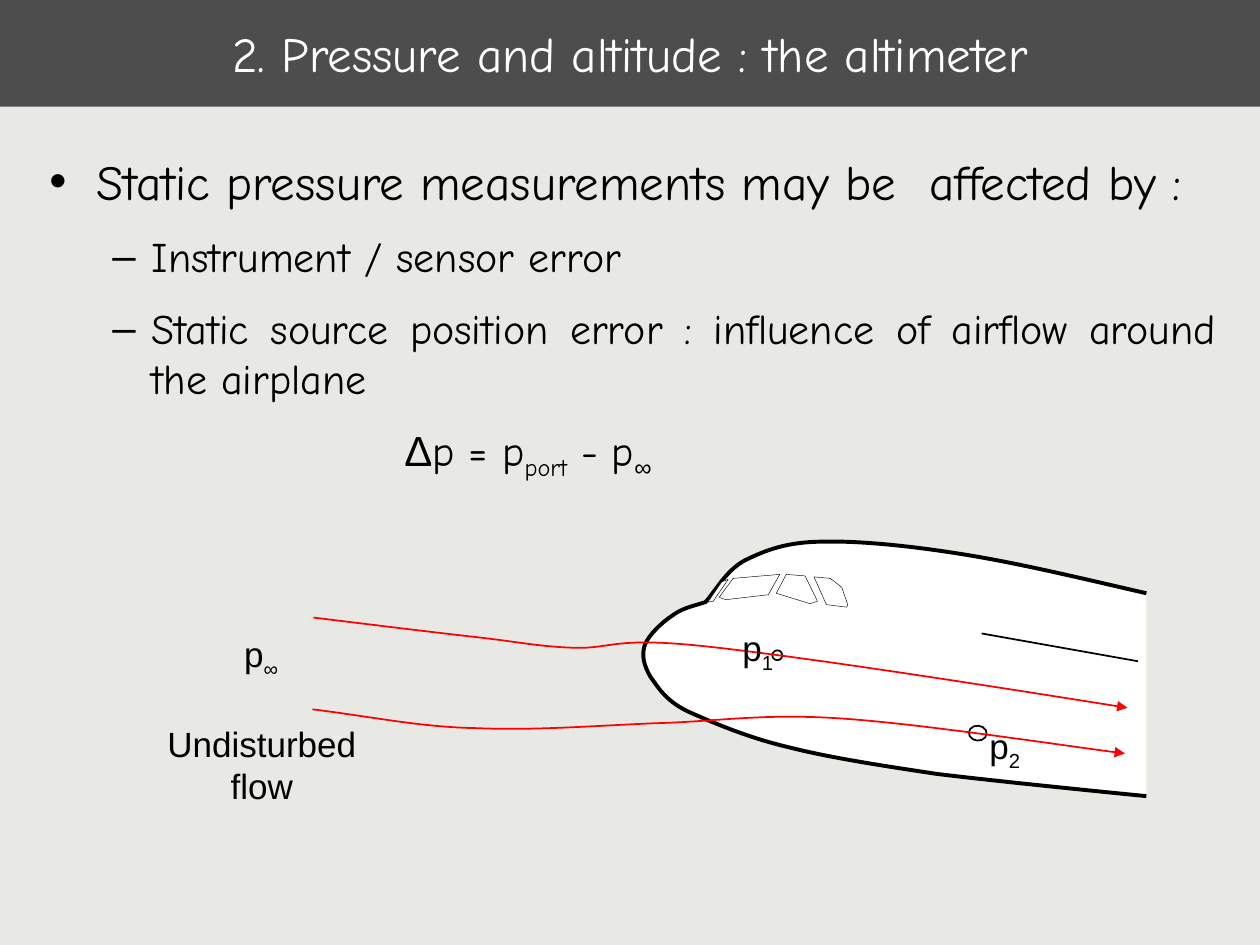
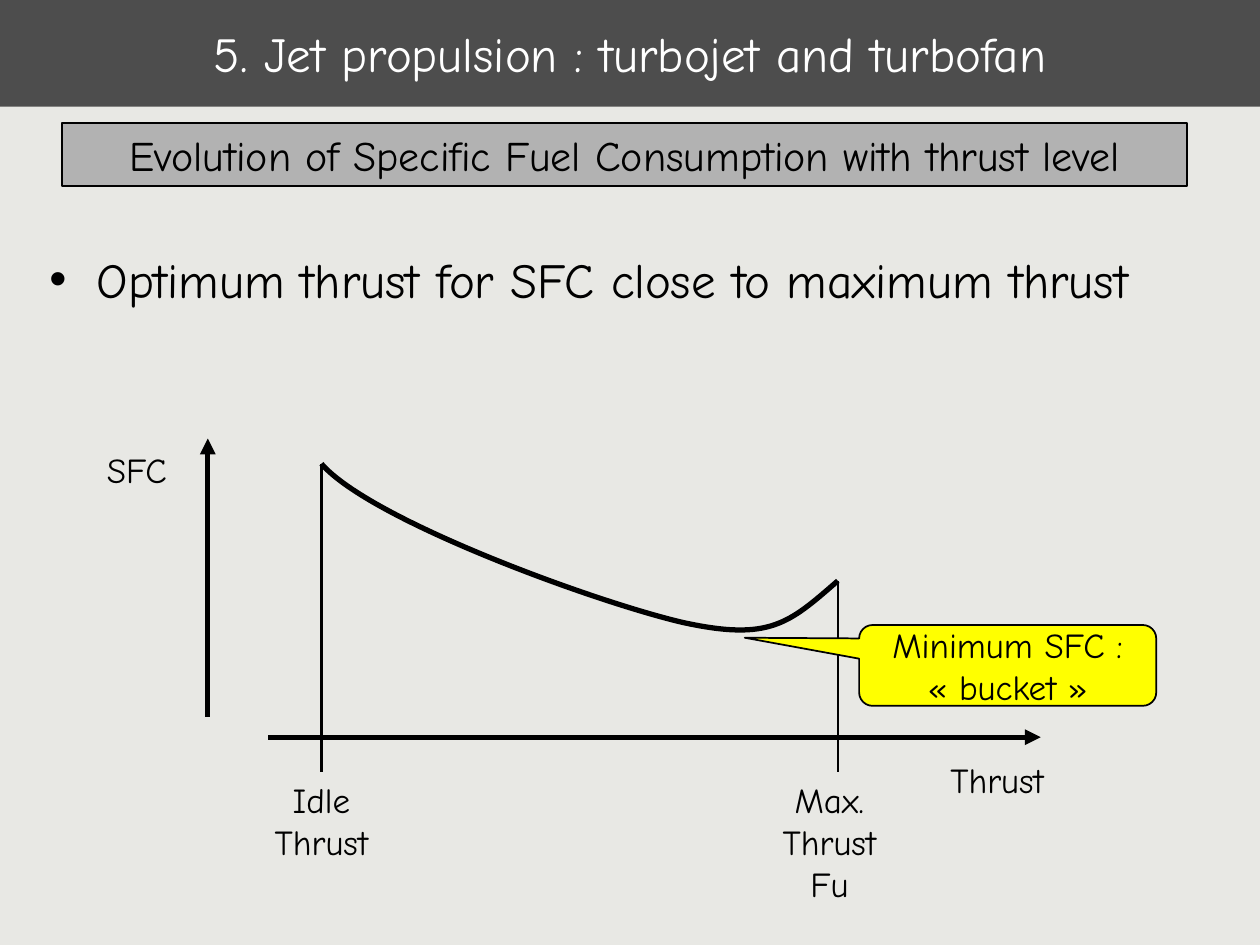
from dataclasses import dataclass

from pptx import Presentation
from pptx.dml.color import RGBColor
from pptx.enum.shapes import MSO_CONNECTOR, MSO_SHAPE
from pptx.enum.text import MSO_ANCHOR, PP_ALIGN
from pptx.oxml.ns import qn
from pptx.util import Cm, Pt
from lxml import etree

RECT, OVAL = MSO_SHAPE.RECTANGLE, MSO_SHAPE.OVAL
CALLOUT = MSO_SHAPE.ROUNDED_RECTANGULAR_CALLOUT
STRAIGHT = MSO_CONNECTOR.STRAIGHT
CENTER, JUSTIFY = PP_ALIGN.CENTER, PP_ALIGN.JUSTIFY
TOP, MIDDLE = MSO_ANCHOR.TOP, MSO_ANCHOR.MIDDLE
NBSP = chr(160)  # keeps the guillemets with their word


@dataclass(frozen=True)
class Theme:
    background: str = "E8E8E4"
    band: str = "4D4D4D"
    banner: str = "B2B2B2"
    highlight: str = "FFFF00"
    flow: str = "FF0000"
    ink: str = "000000"
    white: str = "FFFFFF"
    font: str = "Comic Neue"
    label_font: str = "Arial"
    title_size: int = 28
    text_size: int = 24
    label_size: int = 20


T = Theme()
WIDTH, HEIGHT = 25.4, 19.05
TITLE_HEIGHT = 2.15
BODY_LEFT, BODY_WIDTH, BODY_BOTTOM = 0.74, 24.03, 17.98
EQUATION_INDENT = 7.16


def rgb(color):
    return RGBColor.from_string(color)


# Text
def write(p, runs, size=T.label_size, font=T.font, color=T.ink, align=CENTER, before=0):
    """Fill a paragraph; a run is a string or (string, font, is_subscript)."""
    p.alignment, p.space_before = align, Pt(before)
    for run in [runs] if isinstance(runs, str) else runs:
        text, face, sub = (run, font, False) if isinstance(run, str) else run
        r = p.add_run()
        r.text = text
        r.font.size, r.font.name = Pt(size), face
        r.font.color.rgb = rgb(color)
        if sub:
            r._r.get_or_add_rPr().set("baseline", "-25000")


def write_lines(tf, lines, **fmt):
    for i, line in enumerate(lines):
        write(tf.paragraphs[0] if i == 0 else tf.add_paragraph(), line, **fmt)


def add_label(s, x, y, w, h, *lines, anchor=MIDDLE, **fmt):
    sp = s.shapes.add_textbox(Cm(x), Cm(y), Cm(w), Cm(h))
    tf = sp.text_frame
    tf.word_wrap, tf.vertical_anchor = False, anchor
    write_lines(tf, lines, **fmt)
    return sp


# Shapes and lines
def set_line(sp, color, width, arrow=False):
    sp.line.color.rgb, sp.line.width = rgb(color), Pt(width)
    if arrow:
        ln = sp._element.spPr.find(qn("a:ln"))
        etree.SubElement(ln, qn("a:tailEnd"), type="triangle")


def style_shape(sp, fill, width, color=T.ink, arrow=False):
    sp.shadow.inherit = False
    if fill:
        sp.fill.solid()
        sp.fill.fore_color.rgb = rgb(fill)
    else:
        sp.fill.background()
    set_line(sp, color, width, arrow)


def add_box(s, kind, x, y, w, h, fill, text=None, size=T.label_size):
    sp = s.shapes.add_shape(kind, Cm(x), Cm(y), Cm(w), Cm(h))
    style_shape(sp, fill, 1)
    if text:
        sp.text_frame.word_wrap, sp.text_frame.vertical_anchor = True, MIDDLE
        write(sp.text_frame.paragraphs[0], text, size=size)
    return sp


def add_line(s, x1, y1, x2, y2, width, arrow=False):
    sp = s.shapes.add_connector(STRAIGHT, Cm(x1), Cm(y1), Cm(x2), Cm(y2))
    set_line(sp, T.ink, width, arrow)
    etree.SubElement(sp._element.spPr, qn("a:effectLst"))
    return sp


def add_outline(s, points, width, fill=None, color=T.ink, closed=False, arrow=False):
    emu = [(Cm(x), Cm(y)) for x, y in points]
    builder = s.shapes.build_freeform(*emu[0])
    builder.add_line_segments(emu[1:], close=closed)
    sp = builder.convert_to_shape()
    style_shape(sp, fill, width, color, arrow)
    return sp


def add_curve(s, nodes, width, **fmt):
    """Draw cubic curves: a start, then two controls and an end for each."""
    sp = add_outline(s, nodes, width, **fmt)
    path = next(sp._element.iter(qn("a:path")))
    segments = path.findall(qn("a:lnTo"))
    for i in range(0, len(segments), 3):
        cubic = etree.SubElement(path, qn("a:cubicBezTo"))
        for segment in segments[i:i + 3]:
            cubic.append(segment[0])
            path.remove(segment)


# Slide frame
def add_slide(prs, title, body_top):
    s = prs.slides.add_slide(prs.slide_layouts[1])
    sp, body = s.shapes.title, s.placeholders[1]
    sp.left, sp.top, sp.width, sp.height = 0, 0, Cm(WIDTH), Cm(TITLE_HEIGHT)
    sp.fill.solid()
    sp.fill.fore_color.rgb = rgb(T.band)
    sp.text_frame.vertical_anchor = MIDDLE
    write(sp.text_frame.paragraphs[0], title, size=T.title_size, color=T.white)
    body.left, body.top = Cm(BODY_LEFT), Cm(body_top)
    body.width, body.height = Cm(BODY_WIDTH), Cm(BODY_BOTTOM - body_top)
    return s, body.text_frame


def add_bullets(tf, heading, *items):
    write(tf.paragraphs[0], heading, size=T.title_size, align=JUSTIFY)
    for item in items:
        p = tf.add_paragraph()
        p.level = 1
        write(p, item, size=T.text_size, align=JUSTIFY, before=12)


def add_equation(tf, runs):
    p = tf.add_paragraph()
    p.level = 1
    write(p, runs, size=T.text_size, align=JUSTIFY, before=12)
    pPr = p._p.get_or_add_pPr()
    pPr.set("marL", str(Cm(EQUATION_INDENT)))
    pPr.set("indent", "0")
    etree.SubElement(pPr, qn("a:buNone"))


# Aircraft nose with its static ports
def draw_nose(s):
    fuselage = [
        (23.11, 16.05), (22.4, 15.98), (20.09, 15.75), (18.87, 15.6),
        (17.68, 15.42), (16.71, 15.27), (15.88, 15.06),
        (15.04, 14.86), (14.33, 14.55), (13.84, 14.33),
        (13.39, 14.1), (13.26, 13.84), (13.11, 13.64),
        (12.98, 13.41), (12.93, 13.21), (13, 13),
        (13.08, 12.8), (13.34, 12.55), (13.54, 12.42),
        (13.74, 12.27), (13.89, 12.24), (14.22, 12.14),
        (14.43, 11.91), (14.63, 11.51), (15.01, 11.3),
        (15.42, 11.1), (15.85, 10.92), (16.61, 10.92),
        (17.37, 10.9), (18.49, 11.02), (19.56, 11.2),
        (20.65, 11.38), (21.89, 11.68), (23.11, 11.96)]
    windows = [
        [(14.5, 12.04), (14.63, 12.09), (15.49, 11.99), (15.72, 11.58), (14.78, 11.66)],
        [(15.65, 11.96), (15.85, 11.58), (16.23, 11.61), (16.48, 12.12), (16.33, 12.17)],
        [(16.41, 11.63), (16.66, 12.19), (17.07, 12.24), (17.09, 12.19), (16.97, 11.84),
         (16.74, 11.66)],
        [(14.27, 12.14), (14.38, 12.12), (14.68, 11.68), (14.55, 11.73)]]
    add_curve(s, fuselage, 2.25, fill=T.white)
    for window in windows:
        add_outline(s, window, 0.25, fill=T.white, closed=True)
    add_box(s, OVAL, 15.57, 13.11, 0.2, 0.2, T.white)
    add_box(s, OVAL, 19.53, 14.63, 0.36, 0.3, T.white).rotation = 5
    add_line(s, 19.79, 12.77, 22.94, 13.33, 1)


def draw_streamlines(s):
    upper = [(6.32, 12.45), (7.54, 12.6), (8.76, 12.75), (9.65, 12.85),
             (10.52, 12.95), (10.82, 13.03), (11.58, 13.06),
             (12.34, 13.08), (12.37, 12.83), (14.22, 13.03),
             (16.08, 13.23), (19.41, 13.74), (22.73, 14.27)]
    lower = [(6.3, 14.3), (7.52, 14.45), (8.46, 14.66), (9.63, 14.68),
             (10.77, 14.73), (12.01, 14.63), (13.21, 14.58),
             (14.43, 14.55), (15.32, 14.38), (16.89, 14.48),
             (18.47, 14.58), (21.49, 15.04), (22.68, 15.19)]
    for stream in (upper, lower):
        add_curve(s, stream, 1, color=T.flow, arrow=True)


def altimeter_slide(prs):
    s, tf = add_slide(prs, "2. Pressure and altitude : the altimeter", 2.92)
    add_bullets(tf, "Static pressure measurements may be  affected by :",
                "Instrument / sensor error",
                "Static source position error : influence of airflow around the airplane")
    add_equation(tf, [("Δ", T.label_font, False), "p = p", ("port", T.font, True),
                      " - p", ("∞", T.label_font, True)])
    draw_nose(s)
    draw_streamlines(s)
    for x, y, index in ((14.4, 12.5, "1"), (19.38, 14.48, "2"), (4.39, 12.62, "∞")):
        add_label(s, x, y, 1.75, 1.22, ["p", (index, T.label_font, True)], font=T.label_font)
    add_label(s, 3.12, 14.43, 4.32, 1.96, "Undisturbed", "flow", font=T.label_font)


def propulsion_slide(prs):
    s, tf = add_slide(prs, "5. Jet propulsion : turbojet and turbofan", 4.9)
    add_bullets(tf, "Optimum thrust for SFC close to maximum thrust")

    # Axes
    add_line(s, 5.41, 14.86, 20.98, 14.86, 3, arrow=True)
    add_line(s, 4.19, 14.45, 4.19, 8.84, 3, arrow=True)
    add_label(s, 1.3, 8.94, 2.92, 1.04, "SFC")
    add_label(s, 18.31, 15.16, 3.58, 1.12, "Thrust")

    # Consumption curve between idle and maximum thrust
    idle_x, idle_y, max_x, max_y, foot = 6.48, 9.35, 16.89, 11.71, 15.56
    add_line(s, max_x, max_y, max_x, foot, 1.5)
    idle = add_label(s, 5.28, foot, 2.4, 1.96, "Idle", "Thrust", anchor=TOP)
    add_label(s, 15.52, foot, 2.4, 2.79, "Max.", "Thrust", "Fu", anchor=TOP)
    add_line(s, idle_x, idle_y, idle_x, foot, 1.5).end_connect(idle, 0)
    add_curve(s, [(idle_x, idle_y), (7.47, 10.49), (12.01, 12.14), (13.77, 12.55),
                  (15.52, 12.93), (15.9, 12.57), (max_x, max_y)], 3)

    # Banner and callout
    add_box(s, RECT, 1.25, 2.48, 22.68, 1.27, T.banner,
            "Evolution of Specific Fuel Consumption with thrust level", T.text_size)
    sp = add_box(s, CALLOUT, 17.32, 12.6, 5.99, 1.63, T.highlight,
                 f"Minimum SFC : «{NBSP}bucket{NBSP}»")
    for i, value in enumerate((-0.885, -0.342, 0.167)):
        sp.adjustments[i] = value


def main():
    prs = Presentation()
    prs.slide_width, prs.slide_height = Cm(WIDTH), Cm(HEIGHT)
    fill = prs.slide_master.background.fill
    fill.solid()
    fill.fore_color.rgb = rgb(T.background)
    altimeter_slide(prs)
    propulsion_slide(prs)
    prs.save("out.pptx")


if __name__ == "__main__":
    main()
